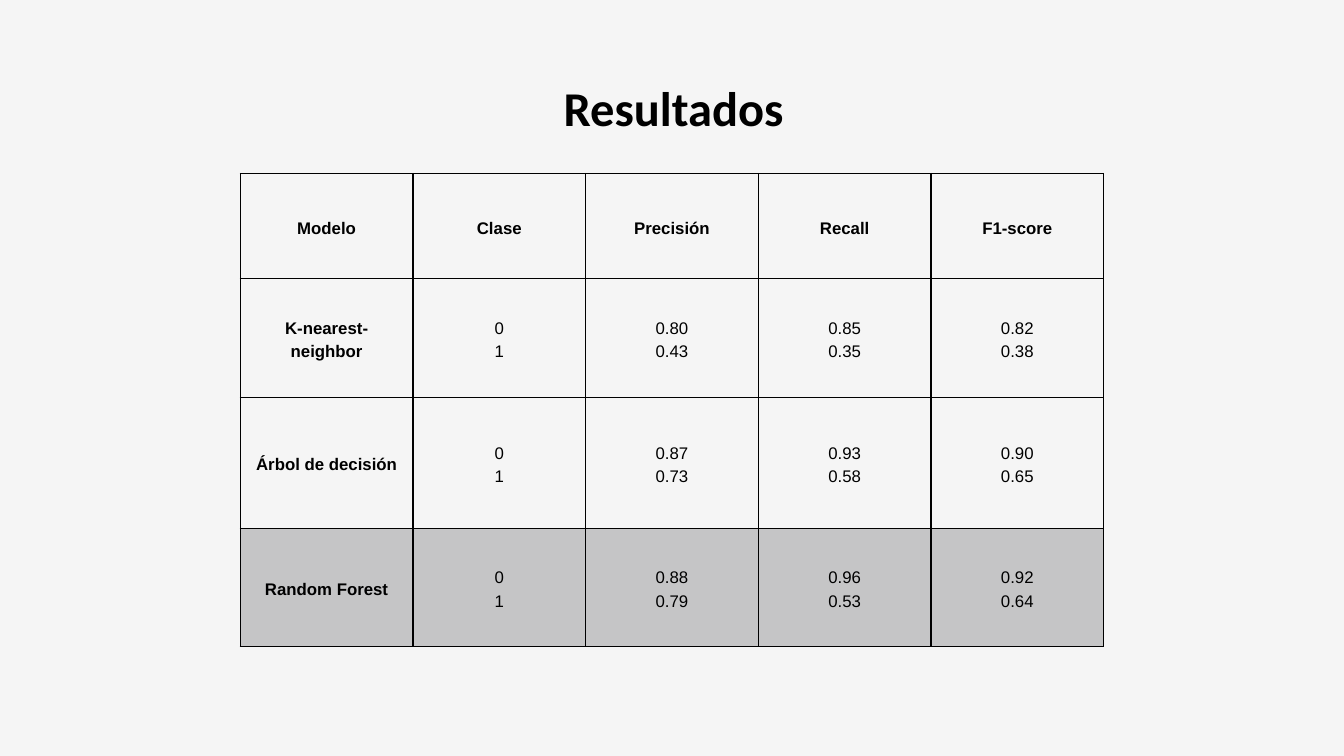
from dataclasses import dataclass

from lxml.etree import SubElement
from pptx import Presentation
from pptx.dml.color import RGBColor
from pptx.enum.text import MSO_ANCHOR, MSO_AUTO_SIZE, PP_ALIGN
from pptx.oxml.ns import qn
from pptx.util import Inches, Pt


@dataclass(frozen=True)
class Theme:
    background: str = "F5F5F5"
    ink: str = "000000"
    highlight: str = "C5C5C6"
    title_font: str = "Calibri"
    table_font: str = "Arial"
    title_size: float = 52
    table_size: float = 18
    title_leading: float = 72.8
    table_leading: float = 25.2
    border: float = 1.5


THEME = Theme()
SLIDE_W, SLIDE_H = 20, 11.25
TITLE = "Resultados"
TITLE_BOX = (1.15, 1.01, 17.75, 0.98)
HEADERS = ["Modelo", "Clase", "Precisión", "Recall", "F1-score"]
CLASSES = ["0", "1"]
RESULTS = [
    ("K-nearest-neighbor", ["0.80", "0.43"], ["0.85", "0.35"], ["0.82", "0.38"]),
    ("Árbol de decisión", ["0.87", "0.73"], ["0.93", "0.58"], ["0.90", "0.65"]),
    ("Random Forest", ["0.88", "0.79"], ["0.96", "0.53"], ["0.92", "0.64"]),
]
BEST_MODEL = "Random Forest"
COL_W = 2.57
ROW_HEIGHTS = [1.57, 1.76, 1.95, 1.76]
TABLE_TOP = 2.58
CELL_MARGIN = 0.15


def write(tf, lines, font, size, leading, bold):
    tf.word_wrap = True
    for i, line in enumerate(lines):
        p = tf.paragraphs[0] if i == 0 else tf.add_paragraph()
        p.alignment = PP_ALIGN.CENTER
        p.line_spacing = Pt(leading)
        p.space_before = p.space_after = Pt(0)
        r = p.add_run()
        r.text = line
        r.font.name = font
        r.font.size = Pt(size)
        r.font.bold = bold
        r.font.color.rgb = RGBColor.from_string(THEME.ink)


def add_borders(cell):
    tc_pr = cell._tc.get_or_add_tcPr()
    for side in ("lnL", "lnR", "lnT", "lnB"):
        ln = SubElement(tc_pr, qn(f"a:{side}"), w=str(Pt(THEME.border)))
        fill = SubElement(ln, qn("a:solidFill"))
        SubElement(fill, qn("a:srgbClr"), val=THEME.ink)


def add_title(s):
    sp = s.shapes.title
    sp.left, sp.top, sp.width, sp.height = map(Inches, TITLE_BOX)
    tf = sp.text_frame
    tf.auto_size = MSO_AUTO_SIZE.NONE
    tf.vertical_anchor = MSO_ANCHOR.TOP
    tf.margin_left = tf.margin_right = tf.margin_top = tf.margin_bottom = 0
    write(tf, [TITLE], THEME.title_font, THEME.title_size, THEME.title_leading, True)


def add_results(s):
    rows = [[[h] for h in HEADERS]]
    rows += [[[model], CLASSES, *scores] for model, *scores in RESULTS]
    width = COL_W * len(HEADERS)
    table = s.shapes.add_table(
        len(rows), len(HEADERS), Inches((SLIDE_W - width) / 2), Inches(TABLE_TOP),
        Inches(width), Inches(sum(ROW_HEIGHTS))).table
    table.first_row = table.horz_banding = False
    for col in table.columns:
        col.width = Inches(COL_W)
    for i, row in enumerate(rows):
        table.rows[i].height = Inches(ROW_HEIGHTS[i])
        for j, lines in enumerate(row):
            cell = table.cell(i, j)
            cell.vertical_anchor = MSO_ANCHOR.MIDDLE
            cell.margin_left = cell.margin_right = Inches(CELL_MARGIN)
            cell.margin_top = cell.margin_bottom = Inches(CELL_MARGIN)
            add_borders(cell)
            if row[0] == [BEST_MODEL]:
                cell.fill.solid()
                cell.fill.fore_color.rgb = RGBColor.from_string(THEME.highlight)
            else:
                cell.fill.background()
            write(cell.text_frame, lines, THEME.table_font, THEME.table_size,
                  THEME.table_leading, i == 0 or j == 0)


def main():
    prs = Presentation()
    prs.slide_width, prs.slide_height = Inches(SLIDE_W), Inches(SLIDE_H)
    s = prs.slides.add_slide(prs.slide_layouts.get_by_name("Title Only"))
    s.background.fill.solid()
    s.background.fill.fore_color.rgb = RGBColor.from_string(THEME.background)
    add_title(s)
    add_results(s)
    prs.save("out.pptx")


if __name__ == "__main__":
    main()
